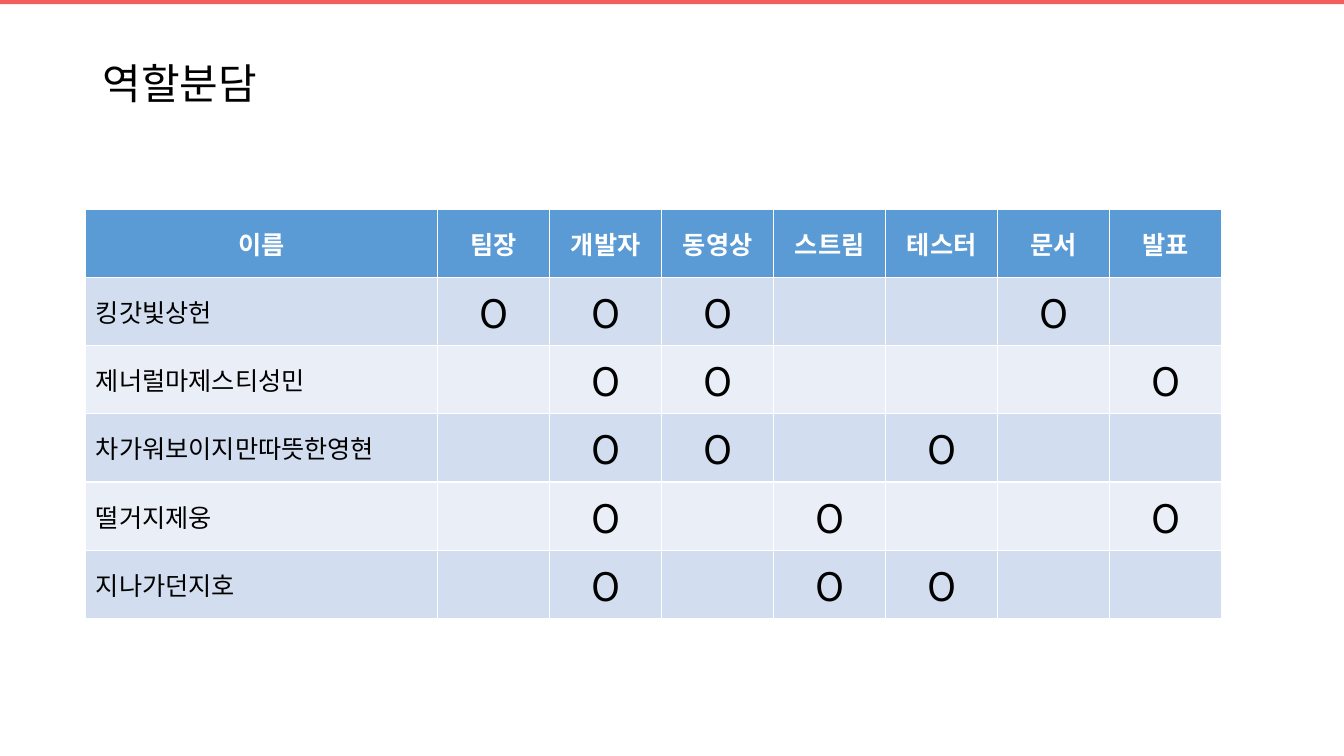
"""Build the role assignment slide."""
from lxml import etree
from pptx import Presentation
from pptx.dml.color import RGBColor
from pptx.enum import shapes, text
from pptx.oxml.ns import qn
from pptx.util import Pt

FONT = "Noto Sans CJK KR"
ROLES = ["팀장", "개발자", "동영상", "스트림", "테스터", "문서", "발표"]
MEMBERS = {
    "킹갓빛상헌": {"팀장", "개발자", "동영상", "문서"},
    "제너럴마제스티성민": {"개발자", "동영상", "발표"},
    "차가워보이지만따뜻한영현": {"개발자", "동영상", "테스터"},
    "떨거지제웅": {"개발자", "스트림", "발표"},
    "지나가던지호": {"개발자", "스트림", "테스터"},
}
HEADER_FILL = "5B9BD5"
BAND_FILLS = ["D2DEEF", "EAEFF7"]
NAME_WIDTH, ROLE_WIDTH, ROW_HEIGHT = 251.4, 80, 48.7


def color(value):
    """Turn a hex string into a colour."""
    return RGBColor.from_string(value)


def paint(fill, value):
    """Give a fill one solid colour."""
    fill.solid()
    fill.fore_color.rgb = color(value)


def write(frame, words, size, ink="000000", bold=False, align=text.PP_ALIGN.LEFT):
    """Put one formatted line into a text frame."""
    frame.text = words
    para = frame.paragraphs[0]
    para.alignment = align
    for span in para.runs:
        span.font.size = Pt(size)
        span.font.bold = bold
        span.font.color.rgb = color(ink)
        span.font.name = FONT
        latin = span.font._element.find(qn("a:latin"))
        latin.addnext(etree.Element(qn("a:ea"), typeface=FONT))


def add_bar(page, width):
    """Draw the thin accent bar along the top edge."""
    bar = page.shapes.add_shape(shapes.MSO_SHAPE.RECTANGLE, 0, 0, width, Pt(3))
    bar.shadow.inherit = False
    paint(bar.fill, "F05F5C")
    bar.line.fill.background()


def set_title(page, words):
    """Place and format the title placeholder."""
    title = page.shapes.title
    title.left, title.top, title.width, title.height = Pt(66), Pt(28.8), Pt(828), Pt(65.5)
    frame = title.text_frame
    write(frame, words, 30)
    frame.vertical_anchor = text.MSO_ANCHOR.MIDDLE
    frame.paragraphs[0].line_spacing = 0.9


def fill_cell(cell, fill, words, size, **style):
    """Colour a cell and write its text in the middle."""
    paint(cell.fill, fill)
    cell.vertical_anchor = text.MSO_ANCHOR.MIDDLE
    write(cell.text_frame, words, size, **style)


def add_role_table(page):
    """Add the table of members and the roles they take."""
    widths = [NAME_WIDTH] + [ROLE_WIDTH] * len(ROLES)
    count = len(MEMBERS) + 1
    table = page.shapes.add_table(
        count, len(widths), Pt(61.3), Pt(149.5), Pt(sum(widths)), Pt(ROW_HEIGHT * count)
    ).table
    for column, width in zip(table.columns, widths):
        column.width = Pt(width)
    for row in table.rows:
        row.height = Pt(ROW_HEIGHT)
    center = text.PP_ALIGN.CENTER
    for index, heading in enumerate(["이름"] + ROLES):
        fill_cell(table.cell(0, index), HEADER_FILL, heading, 18,
                  ink="FFFFFF", bold=True, align=center)
    for number, (name, duties) in enumerate(MEMBERS.items(), 1):
        fill = BAND_FILLS[(number - 1) % 2]
        fill_cell(table.cell(number, 0), fill, name, 18)
        for index, role in enumerate(ROLES, 1):
            mark = "O" if role in duties else ""
            fill_cell(table.cell(number, index), fill, mark, 28, align=center)


def main():
    """Build and save the deck."""
    deck = Presentation()
    deck.slide_width, deck.slide_height = Pt(960), Pt(540)
    page = deck.slides.add_slide(deck.slide_layouts[5])
    add_bar(page, deck.slide_width)
    set_title(page, "역할분담")
    add_role_table(page)
    deck.save("out.pptx")


if __name__ == "__main__":
    main()
